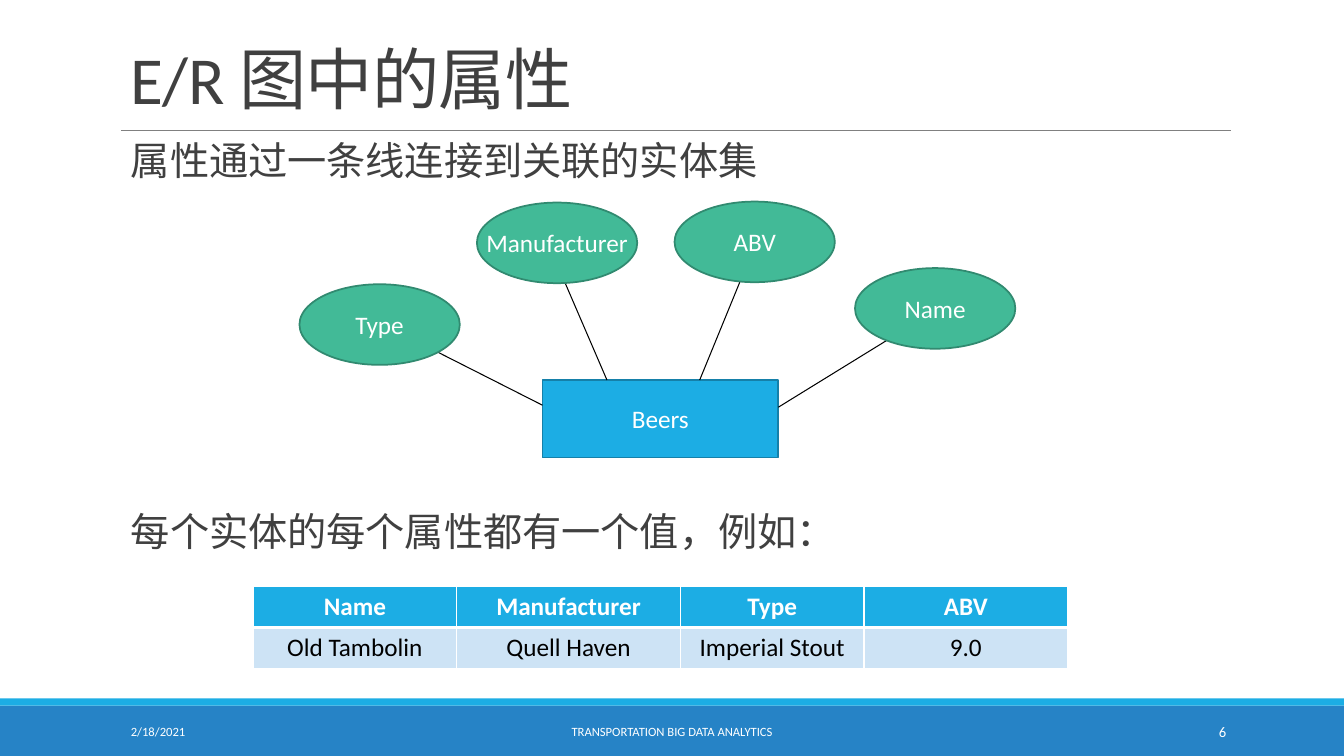
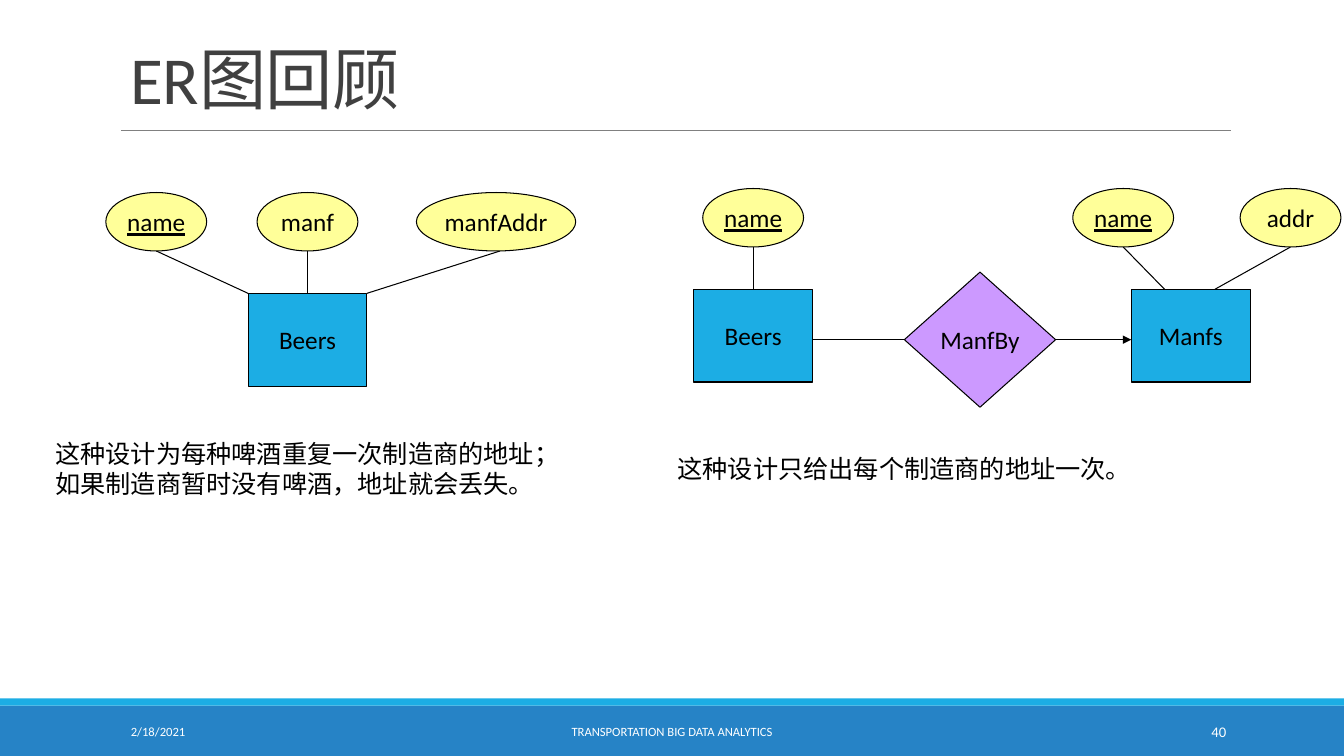
from dataclasses import dataclass
from typing import NamedTuple, Optional

from lxml.etree import SubElement
from pptx import Presentation
from pptx.dml.color import RGBColor
from pptx.enum.shapes import MSO_CONNECTOR, MSO_SHAPE
from pptx.enum.text import MSO_ANCHOR, PP_ALIGN
from pptx.oxml.ns import qn
from pptx.util import Inches, Pt


class Theme:
    FONT = "Calibri"
    NOTE_FONT = "Roboto"
    WHITE = "FFFFFF"
    BLACK = "000000"
    INK = "404040"
    RULE = "808080"
    ACCENT = "1CADE4"
    FOOTER_BAND = "2683C6"
    TABLE_BODY = "CDE3F5"
    TITLE_SIZE = 48
    BODY_SIZE = 28
    TEXT_SIZE = 18
    FOOTER_SIZE = 9
    NUMBER_SIZE = 10.5
    THIN = 0.75


class Box(NamedTuple):
    left: float
    top: float
    width: float
    height: float

    def inside(self, dx, dy, width, height):
        return Box(self.left + dx, self.top + dy, width, height)

    def point(self, dx, dy):
        return self.left + dx, self.top + dy

    def lengths(self):
        return [Inches(value) for value in self]


class NodeStyle(NamedTuple):
    fill: str
    line: str
    line_width: float
    ink: str


class FanStyle(NamedTuple):
    entity: NodeStyle
    attribute: NodeStyle
    entity_size: tuple
    attribute_height: float


@dataclass
class Attribute:
    """tie is the line's end on the entity (None: middle of its top side),
    reach its end on the oval (None: middle of its bottom)."""
    name: str
    dx: float
    dy: float
    width: float
    tie: Optional[tuple] = None
    reach: Optional[tuple] = None
    key: bool = False


BRIGHT = FanStyle(
    NodeStyle(Theme.ACCENT, "1580A9", 1.25, Theme.WHITE),
    NodeStyle("42BA97", "318A70", 1.25, Theme.WHITE),
    (2.34, 0.77), 0.8)
OUTLINED = FanStyle(
    NodeStyle(Theme.ACCENT, Theme.BLACK, Theme.THIN, Theme.BLACK),
    NodeStyle("FFFF99", Theme.BLACK, Theme.THIN, Theme.BLACK),
    (1.18, 0.92), 0.58)
RELATIONSHIP = NodeStyle("CC99FF", Theme.BLACK, Theme.THIN, Theme.BLACK)


def rgb(code):
    return RGBColor.from_string(code)


def write(frame, text, size, color, font=Theme.FONT, align=PP_ALIGN.LEFT,
          anchor=MSO_ANCHOR.TOP, wrap=True):
    """Fill a text frame with one formatted paragraph and return its run."""
    frame.text = text
    frame.word_wrap = wrap
    frame.vertical_anchor = anchor
    paragraph = frame.paragraphs[0]
    paragraph.alignment = align
    run = paragraph.runs[0]
    run.font.name = font
    run.font.size = Pt(size)
    run.font.color.rgb = rgb(color)
    return run


def add_text(slide, box, text, size, color, **options):
    frame = slide.shapes.add_textbox(*box.lengths()).text_frame
    return frame, write(frame, text, size, color, **options)


def add_band(slide, box, color):
    band = slide.shapes.add_shape(MSO_SHAPE.RECTANGLE, *box.lengths())
    band.shadow.inherit = False
    band.fill.solid()
    band.fill.fore_color.rgb = rgb(color)
    band.line.fill.background()


def add_line(slide, start, end, color=Theme.BLACK, width=Theme.THIN, arrow=False):
    line = slide.shapes.add_connector(
        MSO_CONNECTOR.STRAIGHT, *[Inches(value) for value in (*start, *end)])
    line.line.color.rgb = rgb(color)
    line.line.width = Pt(width)
    if arrow:
        SubElement(line.line._get_or_add_ln(), qn("a:tailEnd"), type="triangle")
    SubElement(line._element.spPr, qn("a:effectLst"))
    return line


def add_node(slide, preset, box, name, style, key=False):
    node = slide.shapes.add_shape(preset, *box.lengths())
    node.shadow.inherit = False
    node.fill.solid()
    node.fill.fore_color.rgb = rgb(style.fill)
    node.line.color.rgb = rgb(style.line)
    node.line.width = Pt(style.line_width)
    run = write(node.text_frame, name, Theme.TEXT_SIZE, style.ink,
                align=PP_ALIGN.CENTER, anchor=MSO_ANCHOR.MIDDLE, wrap=False)
    if key:
        run.font.underline = True
    return node


def add_entity_fan(slide, box, name, entity_at, attributes, style):
    """Draw an entity with its attribute ovals; all offsets are from box."""
    entity_box = box.inside(*entity_at, *style.entity_size)
    entity = add_node(slide, MSO_SHAPE.RECTANGLE, entity_box, name, style.entity)
    for attribute in attributes:
        oval = box.inside(attribute.dx, attribute.dy,
                          attribute.width, style.attribute_height)
        reach = (box.point(*attribute.reach) if attribute.reach
                 else oval.point(oval.width / 2, oval.height))
        tie = (box.point(*attribute.tie) if attribute.tie
               else entity_box.point(entity_box.width / 2, 0))
        link = add_line(slide, reach, tie)
        if attribute.tie is None:
            link.end_connect(entity, 0)
        add_node(slide, MSO_SHAPE.OVAL, oval, attribute.name,
                 style.attribute, attribute.key)


def set_cell_borders(cell, bottom):
    properties = cell._tc.get_or_add_tcPr()
    widths = {"a:lnL": 1, "a:lnR": 1, "a:lnT": 1, "a:lnB": bottom}
    for position, (side, width) in enumerate(widths.items()):
        border = SubElement(properties, qn(side), w=str(Pt(width)))
        fill = SubElement(border, qn("a:solidFill"))
        SubElement(fill, qn("a:srgbClr"), val=Theme.WHITE)
        properties.insert(position, border)


def add_value_table(slide, box, rows, column_widths):
    table = slide.shapes.add_table(
        len(rows), len(column_widths), *box.lengths()).table
    for column, width in zip(table.columns, column_widths):
        column.width = Inches(width)
    for row_index, values in enumerate(rows):
        header = row_index == 0
        for column_index, value in enumerate(values):
            cell = table.cell(row_index, column_index)
            cell.fill.solid()
            cell.fill.fore_color.rgb = rgb(
                Theme.ACCENT if header else Theme.TABLE_BODY)
            run = write(cell.text_frame, value, Theme.TEXT_SIZE,
                        Theme.WHITE if header else Theme.BLACK,
                        align=PP_ALIGN.CENTER)
            run.font.bold = header
            set_cell_borders(cell, bottom=3 if header else 1)


def add_footer(slide, box, number):
    add_band(slide, box.inside(0, 0.07, box.width, 0.5), Theme.FOOTER_BAND)
    add_band(slide, box.inside(0, 0, box.width, 0.07), Theme.ACCENT)
    entries = [
        (1.2, 2.7, "2/18/2021", Theme.FOOTER_SIZE, PP_ALIGN.LEFT),
        (4.03, 5.27, "TRANSPORTATION BIG DATA ANALYTICS",
         Theme.FOOTER_SIZE, PP_ALIGN.CENTER),
        (10.83, 1.43, str(number), Theme.NUMBER_SIZE, PP_ALIGN.RIGHT),
    ]
    for dx, width, text, size, align in entries:
        add_text(slide, box.inside(dx, 0.13, width, 0.4), text, size,
                 Theme.WHITE, align=align, anchor=MSO_ANCHOR.MIDDLE)


def add_titled_slide(deck, title, number):
    slide = deck.slides.add_slide(deck.slide_layouts[6])
    add_footer(slide, Box(0, 6.93, 13.33, 0.57), number)
    add_line(slide, (1.2, 1.29), (12.21, 1.29), Theme.RULE, 0.5)
    frame, run = add_text(slide, Box(1.2, 0.13, 11, 1.09), title,
                          Theme.TITLE_SIZE, Theme.INK, anchor=MSO_ANCHOR.BOTTOM)
    frame.paragraphs[0].line_spacing = 0.85
    run.font._element.set("spc", "-50")
    return slide


def add_statement(slide, box, text):
    frame, _ = add_text(slide, box, text, Theme.BODY_SIZE, Theme.INK)
    frame.paragraphs[0].line_spacing = 0.9


def add_attributes_slide(deck):
    slide = add_titled_slide(deck, "E/R 图中的属性", 6)
    add_statement(slide, Box(1.2, 1.36, 11, 0.6), "属性通过一条线连接到关联的实体集")
    add_entity_fan(slide, Box(2.97, 2, 7.1, 2.54), "Beers", (2.41, 1.77), [
        Attribute("ABV", 3.72, 0, 1.59, (3.97, 1.77), (4.49, 0.5)),
        Attribute("Manufacturer", 1.76, 0.01, 1.59, (3.05, 1.77), (2.52, 0.54)),
        Attribute("Type", 0, 0.82, 1.59, (2.41, 2.02), (0.93, 1.27)),
        Attribute("Name", 5.51, 0.66, 1.59, (4.75, 2.04), (6.21, 1.14)),
    ], BRIGHT)
    add_statement(slide, Box(1.2, 5.04, 11, 0.6), "每个实体的每个属性都有一个值，例如：")
    add_value_table(slide, Box(2.51, 5.82, 8.08, 0.81), [
        ["Name", "Manufacturer", "Type", "ABV"],
        ["Old Tambolin", "Quell Haven", "Imperial Stout", "9.0"],
    ], [2.02, 2.22, 1.82, 2.02])


def add_single_entity_design(slide, box):
    add_entity_fan(slide, box, "Beers", (2.01, 1.04), [
        Attribute("name", 0.6, 0.04, 1, (2.01, 1.04), key=True),
        Attribute("manf", 2.1, 0.04, 1),
        Attribute("manfAddr", 3.68, 0.04, 1.58, (3.19, 1.04), (4.51, 0.62)),
    ], OUTLINED)
    add_text(slide, box.inside(0, 2.43, 5.07, 0.71),
             "这种设计为每种啤酒重复一次制造商的地址；如果制造商暂时没有啤酒，地址就会丢失。",
             Theme.TEXT_SIZE, Theme.BLACK, font=Theme.NOTE_FONT)


def add_two_entity_design(slide, box):
    add_entity_fan(slide, box, "Beers", (0.26, 1), [
        Attribute("name", 0.35, 0, 1, key=True),
    ], OUTLINED)
    add_entity_fan(slide, box, "Manfs", (4.6, 1), [
        Attribute("name", 4.02, 0, 1, (4.93, 1), key=True),
        Attribute("addr", 5.68, 0, 1, (5.43, 1)),
    ], OUTLINED)
    made_by = add_node(slide, MSO_SHAPE.DIAMOND, box.inside(2.35, 0.83, 1.5, 1.34),
                       "ManfBy", RELATIONSHIP)
    to_beers = add_line(slide, box.point(2.35, 1.5), box.point(1.44, 1.5))
    to_beers.begin_connect(made_by, 1)
    to_manfs = add_line(slide, box.point(3.85, 1.5), box.point(4.6, 1.5), arrow=True)
    to_manfs.begin_connect(made_by, 3)
    add_text(slide, box.inside(0, 2.58, 6.18, 0.4),
             "这种设计只给出每个制造商的地址一次。",
             Theme.TEXT_SIZE, Theme.BLACK, font=Theme.NOTE_FONT)


def add_review_slide(deck):
    slide = add_titled_slide(deck, "ER图回顾", 40)
    add_single_entity_design(slide, Box(0.45, 1.87, 5.26, 3.14))
    add_two_entity_design(slide, Box(6.62, 1.87, 6.68, 2.98))


def main():
    deck = Presentation()
    deck.slide_width = Inches(13.33)
    deck.slide_height = Inches(7.5)
    add_attributes_slide(deck)
    add_review_slide(deck)
    deck.save("out.pptx")


if __name__ == "__main__":
    main()
